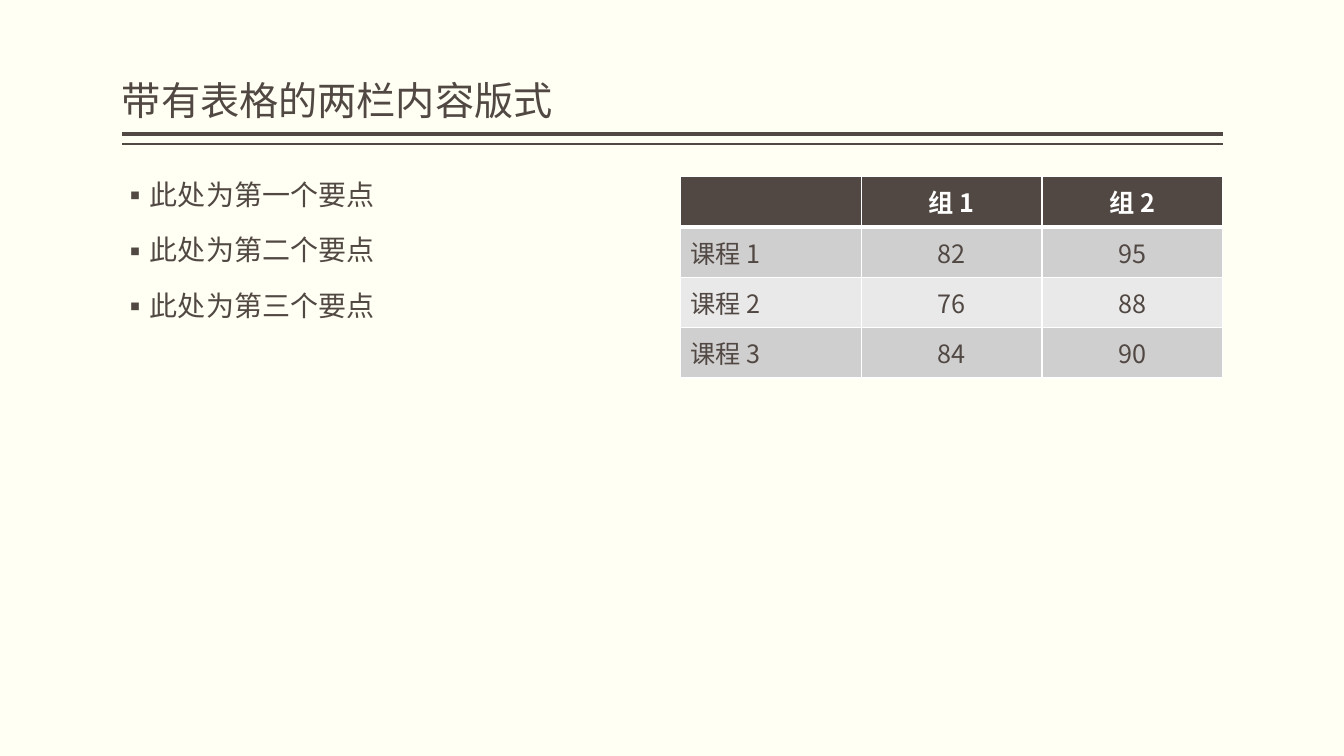
from dataclasses import dataclass

from lxml.etree import SubElement
from pptx import Presentation
from pptx.dml.color import RGBColor
from pptx.enum.shapes import MSO_CONNECTOR as Connector
from pptx.enum.text import MSO_ANCHOR as Anchor, MSO_AUTO_SIZE as AutoSize, PP_ALIGN as Align
from pptx.oxml import parse_xml
from pptx.oxml.ns import nsdecls, qn
from pptx.slide import Slide
from pptx.table import _Cell as Cell
from pptx.text.text import TextFrame, _Paragraph as Paragraph
from pptx.util import Pt

FONT = "Noto Sans CJK SC"
IVORY = RGBColor(0xFF, 0xFF, 0xF3)
BROWN = RGBColor(0x51, 0x48, 0x43)
WHITE = RGBColor(0xFF, 0xFF, 0xFF)
GRAY = RGBColor(0xD0, 0xCF, 0xCF)
LIGHT_GRAY = RGBColor(0xE9, 0xE9, 0xE9)

LEFT, RIGHT = 87.1, 873.4
CONTENT_TOP = 126
COLUMN_WIDTH = 387.4
ROW_HEIGHT = 36
BULLET_INDENT = 18

TITLE = "带有表格的两栏内容版式"
BULLETS = ["此处为第一个要点", "此处为第二个要点", "此处为第三个要点"]
SCORES = [
    ["", "组 1", "组 2"],
    ["课程 1", "82", "95"],
    ["课程 2", "76", "88"],
    ["课程 3", "84", "90"],
]


@dataclass(frozen=True)
class Rule:
    top: float
    weight: float


TITLE_RULES = [Rule(95.8, 3), Rule(103, 1)]


def write_text(
    paragraph: Paragraph,
    text: str,
    *,
    size: float,
    color: RGBColor = BROWN,
    bold: bool = False,
    align: Align = Align.LEFT,
    line_spacing: float = 1.0,
    space_before: float = 0,
) -> None:
    paragraph.alignment = align
    paragraph.line_spacing = line_spacing
    paragraph.space_before = Pt(space_before)
    run = paragraph.add_run()
    run.text = text
    run.font.size = Pt(size)
    run.font.bold = bold
    run.font.color.rgb = color
    run.font.name = FONT
    SubElement(run.font._element, qn("a:ea"), typeface=FONT)


def set_frame(frame: TextFrame, anchor: Anchor) -> None:
    frame.word_wrap = True
    frame.auto_size = AutoSize.NONE
    frame.vertical_anchor = anchor
    frame.margin_left = frame.margin_right = 0
    frame.margin_top = frame.margin_bottom = Pt(3.6)


def add_bullet(paragraph: Paragraph) -> None:
    properties = paragraph._p.get_or_add_pPr()
    properties.set("marL", str(Pt(BULLET_INDENT)))
    properties.set("indent", str(-Pt(BULLET_INDENT)))
    SubElement(properties, qn("a:buFont"), typeface=FONT)
    SubElement(properties, qn("a:buChar"), char="▪")


def draw_rule(slide: Slide, rule: Rule) -> None:
    line = slide.shapes.add_connector(
        Connector.STRAIGHT, Pt(RIGHT), Pt(rule.top), Pt(LEFT), Pt(rule.top)
    )
    line.line.color.rgb = BROWN
    line.line.width = Pt(rule.weight)
    SubElement(line._element.spPr, qn("a:effectLst"))


def set_borders(cell: Cell, *, top: float, bottom: float) -> None:
    properties = cell._tc.get_or_add_tcPr()
    weights = {"lnL": 1, "lnR": 1, "lnT": top, "lnB": bottom}
    for position, (side, weight) in enumerate(weights.items()):
        border = parse_xml(
            f'<a:{side} {nsdecls("a")} w="{Pt(weight)}"><a:solidFill>'
            f'<a:srgbClr val="{WHITE}"/></a:solidFill></a:{side}>'
        )
        properties.insert(position, border)


def draw_title(slide: Slide) -> None:
    title = slide.shapes.title
    title.left, title.top = Pt(LEFT), Pt(5.8)
    title.width, title.height = Pt(RIGHT - LEFT), Pt(86.4)
    set_frame(title.text_frame, Anchor.BOTTOM)
    write_text(title.text_frame.paragraphs[0], TITLE, size=28, line_spacing=0.9)


def draw_bullets(slide: Slide) -> None:
    box = slide.shapes.add_textbox(Pt(LEFT), Pt(CONTENT_TOP), Pt(COLUMN_WIDTH), Pt(360))
    frame = box.text_frame
    set_frame(frame, Anchor.TOP)
    for index, text in enumerate(BULLETS):
        paragraph = frame.add_paragraph() if index else frame.paragraphs[0]
        write_text(paragraph, text, size=20, line_spacing=0.9, space_before=18)
        add_bullet(paragraph)


def draw_scores(slide: Slide) -> None:
    rows, columns = len(SCORES), len(SCORES[0])
    table = slide.shapes.add_table(
        rows, columns, Pt(RIGHT - COLUMN_WIDTH), Pt(CONTENT_TOP),
        Pt(COLUMN_WIDTH), Pt(rows * ROW_HEIGHT),
    ).table
    for row, values in enumerate(SCORES):
        header = row == 0
        fill = BROWN if header else GRAY if row % 2 else LIGHT_GRAY
        for column, text in enumerate(values):
            cell = table.cell(row, column)
            cell.vertical_anchor = Anchor.MIDDLE
            cell.fill.solid()
            cell.fill.fore_color.rgb = fill
            set_borders(cell, top=3 if row == 1 else 1, bottom=3 if header else 1)
            if text:
                write_text(
                    cell.text_frame.paragraphs[0], text, size=18, bold=header,
                    color=WHITE if header else BROWN,
                    align=Align.CENTER if column else Align.LEFT,
                )


def main() -> None:
    presentation = Presentation()
    presentation.slide_width, presentation.slide_height = Pt(960), Pt(540)
    slide = presentation.slides.add_slide(presentation.slide_layouts.get_by_name("Title Only"))
    slide.background.fill.solid()
    slide.background.fill.fore_color.rgb = IVORY
    for rule in TITLE_RULES:
        draw_rule(slide, rule)
    draw_title(slide)
    draw_bullets(slide)
    draw_scores(slide)
    presentation.save("out.pptx")


if __name__ == "__main__":
    main()
